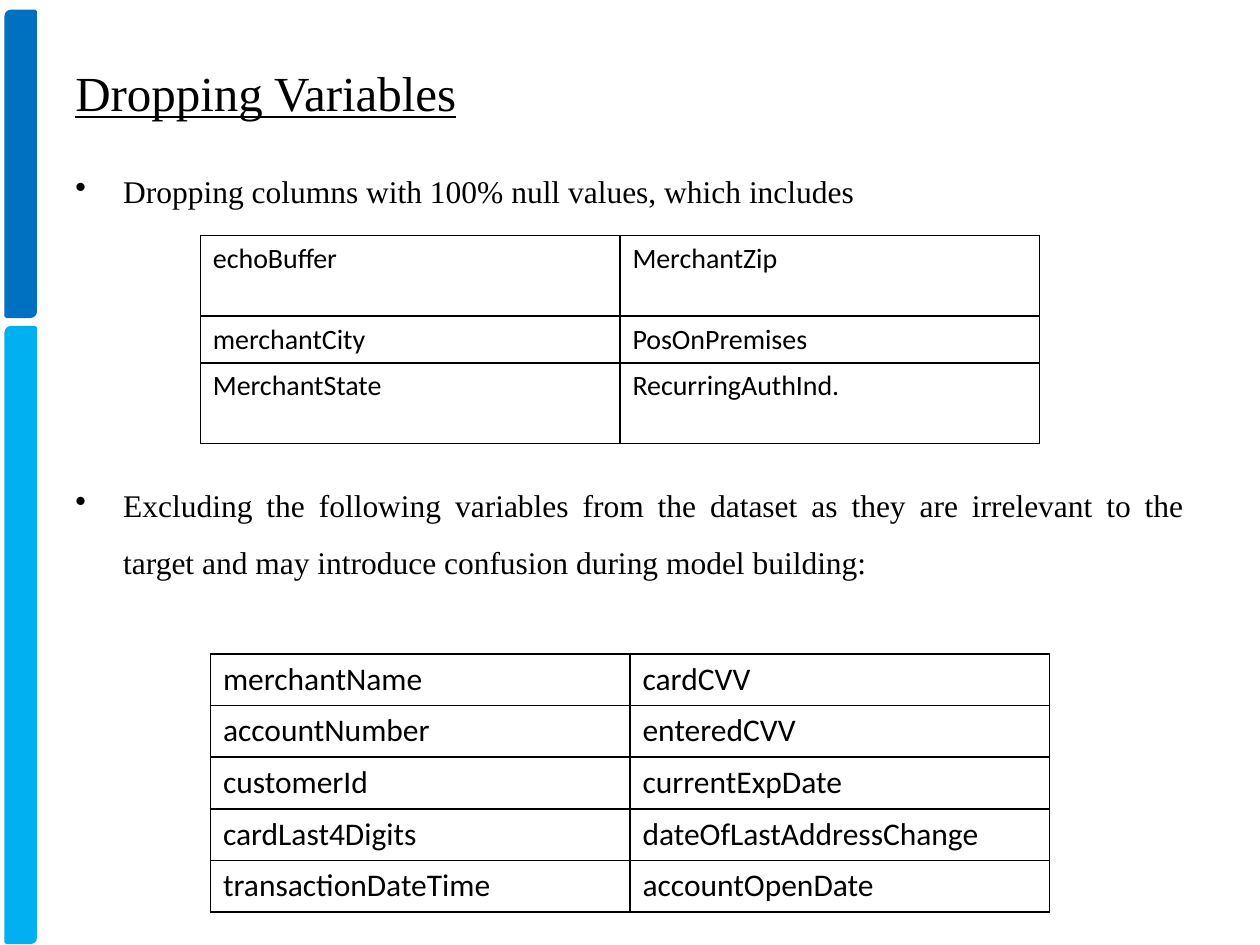
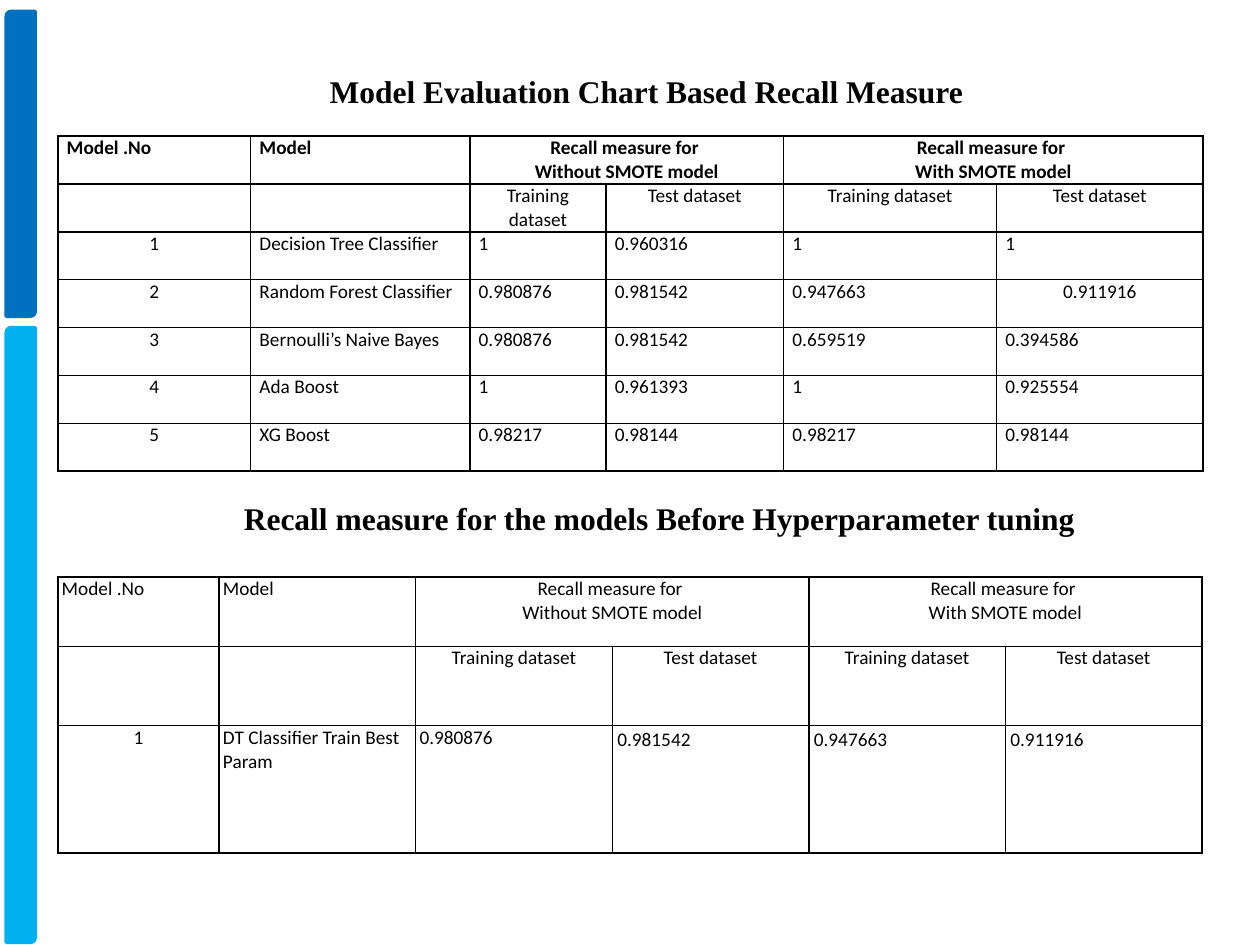
from lxml import etree
from pptx import Presentation
from pptx.dml.color import RGBColor
from pptx.enum.shapes import MSO_SHAPE
from pptx.enum.text import MSO_ANCHOR, PP_ALIGN
from pptx.oxml.ns import qn
from pptx.util import Inches, Pt

LEFT, CENTER, JUSTIFY = PP_ALIGN.LEFT, PP_ALIGN.CENTER, PP_ALIGN.JUSTIFY
MIDDLE = MSO_ANCHOR.MIDDLE
BAND = MSO_SHAPE.ROUND_2_DIAG_RECTANGLE
SERIF, SANS = "Times New Roman", "Calibri"
BLACK, BLUE, SKY = "000000", "0070C0", "00B0F0"


def color(code):
    return RGBColor.from_string(code)


class Deck:
    def __init__(self):
        self.file = Presentation()
        self.file.slide_width = Inches(10)
        self.file.slide_height = Inches(7.5)
        self.slide = None

    def page(self):
        self.slide = self.file.slides.add_slide(self.file.slide_layouts[6])
        self.band(0.09, 2.42, BLUE)
        self.band(2.6, 4.88, SKY)

    def band(self, top, height, code):
        shape = self.slide.shapes.add_shape(
            BAND, Inches(0.05), Inches(top), Inches(0.23), Inches(height))
        shape.shadow.inherit = False
        shape.fill.solid()
        shape.fill.fore_color.rgb = color(code)
        shape.line.color.rgb = color(code)
        shape.line.width = Pt(2)

    def style(self, para, size, face, align=LEFT, bold=False):
        para.alignment = align
        font = para.font
        font.size, font.name, font.bold = Pt(size), face, bold
        font.color.rgb = color(BLACK)

    def text(self, box, lines, size, align=LEFT, bold=False):
        frame = self.slide.shapes.add_textbox(*map(Inches, box)).text_frame
        frame.word_wrap = True
        frame.text = "\n".join(lines)
        for para in frame.paragraphs:
            self.style(para, size, SERIF, align, bold)
        return frame

    def title(self, words):
        frame = self.text((0.5, 0.29, 9, 0.88), [words], 28)
        frame.vertical_anchor = MIDDLE
        frame.paragraphs[0].font.underline = True

    def bullets(self, box, lines, gap):
        frame = self.text(box, lines, 18, JUSTIFY)
        for index, para in enumerate(frame.paragraphs):
            para.line_spacing = 1.5
            para.space_before = Pt(gap if index else 3.6)
            props = para._p.get_or_add_pPr()
            props.set("marL", str(Inches(0.38)))
            props.set("indent", str(-Inches(0.38)))
            mark = etree.Element(qn("a:buChar"), char="•")
            props.insert(list(props).index(props.find(qn("a:defRPr"))), mark)

    def border(self, cell):
        props = cell._tc.get_or_add_tcPr()
        for index, side in enumerate("LRTB"):
            line = etree.Element(qn("a:ln" + side), w=str(Pt(1)))
            fill = etree.SubElement(line, qn("a:solidFill"))
            etree.SubElement(fill, qn("a:srgbClr"), val=BLACK)
            props.insert(index, line)

    def table(self, spot, cols, rows, data, size, inset=(0.1, 0.05),
              bold=False, middle=(), spans=()):
        box = (*spot, sum(cols), sum(rows))
        table = self.slide.shapes.add_table(
            len(rows), len(cols), *map(Inches, box)).table
        table.first_row = table.horz_banding = False
        for col, width in zip(table.columns, cols):
            col.width = Inches(width)
        for row, height in zip(table.rows, rows):
            row.height = Inches(height)
        for y, line in enumerate(data):
            for x, words in enumerate(line):
                cell = table.cell(y, x)
                cell.text = words
                cell.margin_left = cell.margin_right = Inches(inset[0])
                cell.margin_top = cell.margin_bottom = Inches(inset[1])
                cell.fill.background()
                self.border(cell)
                align = CENTER if (y, x) in middle else LEFT
                for para in cell.text_frame.paragraphs:
                    self.style(para, size, SANS, align, bold and y == 0)
        for x in spans:
            table.cell(0, x).merge(table.cell(0, x + 1))
        return table

    def scores(self, top, cols, rows, data, inset, bold=False, extra=()):
        kinds = ["Without", "With"]
        head = ["Model .No", "Model"]
        for kind in kinds:
            head += [f"Recall measure for \n{kind} SMOTE model", ""]
        sets = ["", ""] + ["Training dataset", "Test dataset"] * len(kinds)
        middle = {(y, x) for y in (0, 1) for x in range(2, 6)}
        middle |= {(y, 0) for y in range(2, len(rows))} | set(extra)
        body = [[str(i), *line] for i, line in enumerate(data, 1)]
        return self.table((0.46, top), cols, rows, [head, sets, *body], 11,
                          (inset, 0), bold, middle, (2, 4))


deck = Deck()

deck.page()
deck.title("Dropping Variables")
deck.bullets((0.5, 1.17, 9, 6.17), [
    "Dropping columns with 100% null values, which includes",
    "Excluding the following variables from the dataset as they are "
    "irrelevant to the target and may introduce confusion during model "
    "building:",
], 147)
deck.table((1.67, 5.19), [3.33] * 2, [0.41] * 5, [
    ("merchantName", "cardCVV"),
    ("accountNumber", "enteredCVV"),
    ("customerId", "currentExpDate"),
    ("cardLast4Digits", "dateOfLastAddressChange"),
    ("transactionDateTime", "accountOpenDate"),
], 18)
deck.table((1.59, 1.87), [3.33] * 2, [0.64, 0.37, 0.64], [
    ("echoBuffer", "MerchantZip"),
    ("merchantCity", "PosOnPremises"),
    ("MerchantState", "RecurringAuthInd."),
], 16)

deck.page()
deck.scores(1.08, [1.53, 1.74, 1.08, 1.41, 1.69, 1.64], [0.38] * 7, [
    ("Decision Tree Classifier", "1", "0.960316", "1", "1"),
    ("Random Forest Classifier", "0.980876", "0.981542", "0.947663",
     "0.911916"),
    ("Bernoulli’s Naive Bayes", "0.980876", "0.981542", "0.659519",
     "0.394586"),
    ("Ada Boost", "1", "0.961393", "1", "0.925554"),
    ("XG Boost", "0.98217", "0.98144", "0.98217", "0.98144"),
], 0.07, True, [(3, 5)])
head = deck.text((1.17, 0.5, 7.42, 0.41),
                 ["Model Evaluation Chart Based Recall Measure"],
                 18, CENTER, True)
head.margin_left = Inches(0.6)
head.paragraphs[0].line_spacing = 1.07
tuned = deck.scores(4.58, [1.28] + [1.56] * 5, [0.55, 0.63, 1.01], [
    ("DT Classifier Train Best Param", "0.980876", "0.981542", "0.947663",
     "0.911916"),
], 0.03)
for x in range(3, 6):
    cell = tuned.cell(2, x)
    cell.margin_left = cell.margin_right = Inches(0.04)
    cell.margin_top = cell.margin_bottom = Inches(0.02)
deck.text((1.75, 3.91, 6.97, 0.4),
          ["Recall measure for the models Before Hyperparameter tuning"],
          18, CENTER, True)

deck.file.save("out.pptx")
